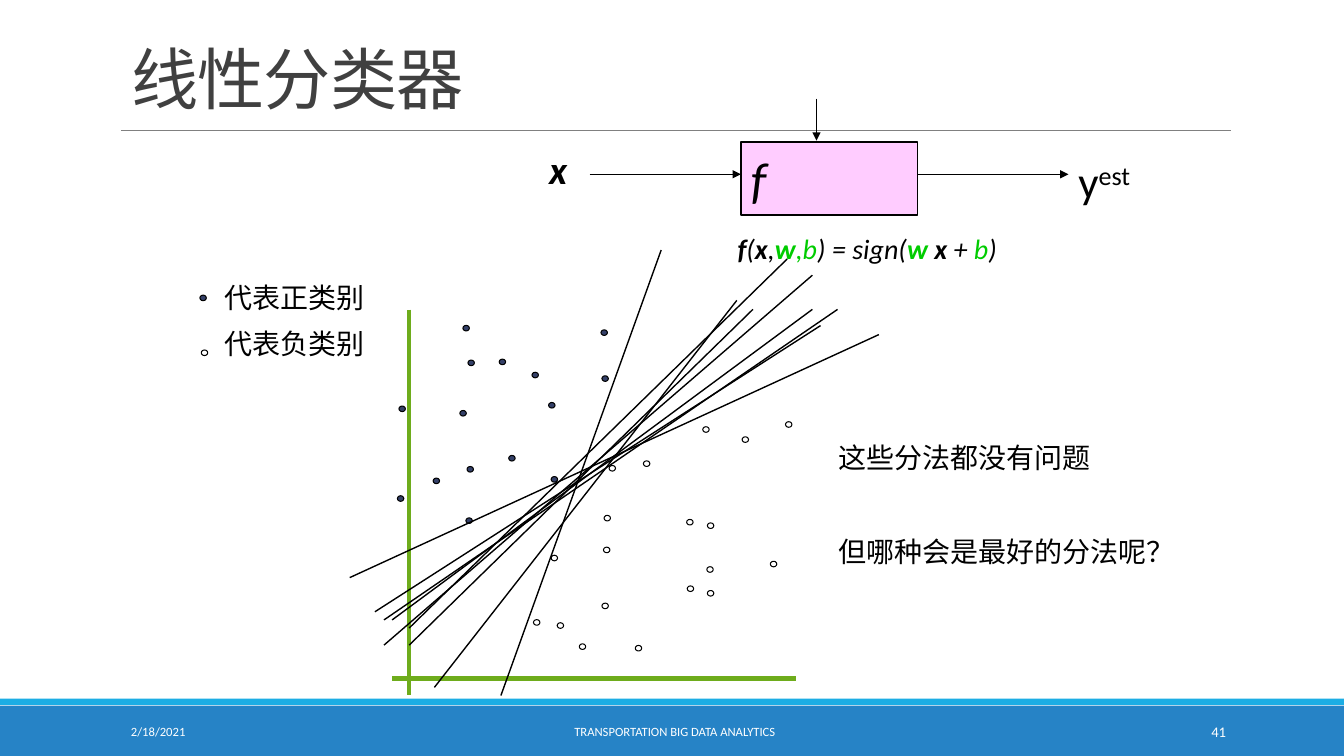
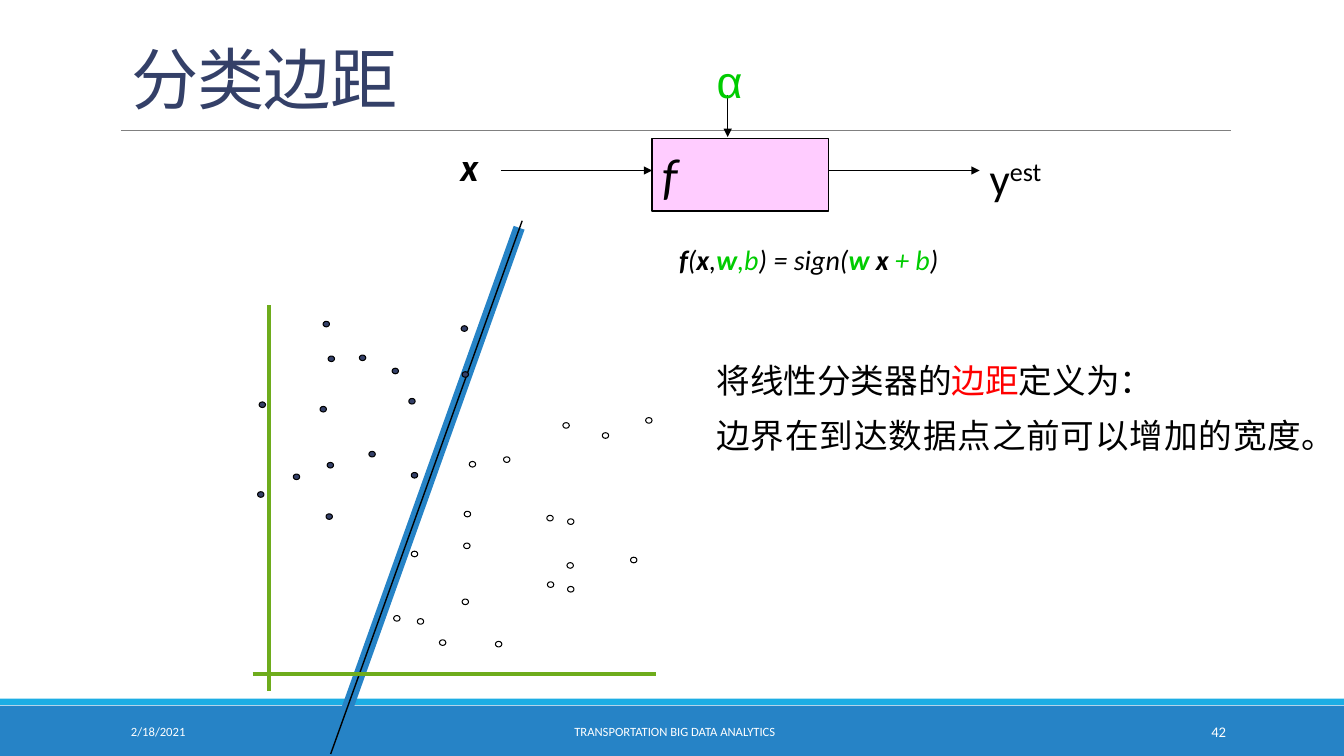
import copy
from dataclasses import dataclass

import pptx
import pptx.util
import pptx.dml.color
import pptx.enum.dml
import pptx.enum.lang
import pptx.enum.shapes
import pptx.enum.text
import pptx.oxml
import pptx.oxml.ns

Pt = pptx.util.Pt
ALIGN = pptx.enum.text.PP_ALIGN
ANCHOR = pptx.enum.text.MSO_ANCHOR
SHAPE = pptx.enum.shapes.MSO_SHAPE


@dataclass(frozen=True)
class Theme:
    font: str = "Calibri"
    symbol_font: str = "Arial"
    # Colours
    black: str = "000000"
    white: str = "FFFFFF"
    title: str = "404040"
    navy: str = "344068"
    blue: str = "2683C6"
    cyan: str = "1CADE4"
    rule: str = "808080"
    axis: str = "6EAC1C"
    pink: str = "FFCCFF"
    green: str = "00CC00"
    red: str = "FF0000"
    # Type sizes
    title_size: float = 48
    function: float = 36
    output: float = 32
    input: float = 28
    statement: float = 24
    text: float = 20
    number: float = 10.5
    footer: float = 9


T = Theme()

# Points as (x, y) above the crossing of the axes
POSITIVE = [
    (-6.1, 128.5), (140, 214.2), (66.6, 226.1), (103.7, 142.2), (38.5, 189.4),
    (44.3, 225.4), (43.6, 149.4), (101.9, 195.1), (42.8, 112.7), (139.3, 247),
    (40.7, 250.2), (73.4, 157.3), (19.4, 141.1), (90, 216.7), (-5, 192.6),
]
NEGATIVE = [
    (91.1, 40), (145.1, 150.1), (200.5, 111.6), (103.7, 86), (271.1, 181.4),
    (214.9, 77.8), (169.6, 153.4), (260.3, 81.7), (123.8, 22.7), (215.3, 109.1),
    (141.5, 114.5), (240.1, 170.6), (212, 177.8), (200.9, 64.1), (163.8, 21.6),
    (140, 51.8), (141.1, 91.8), (108, 37.8), (215.3, 60.8),
]
# Candidate boundaries: start x, y and end x, y
BOUNDARIES = [
    (357.8, 496.8, 472.3, 178.6), (267.8, 437, 586.1, 232.6),
    (292.3, 460.8, 537.8, 221), (249.8, 412.6, 627.8, 239),
    (280.1, 442.8, 580.3, 221), (274.3, 460.8, 580.3, 196.6),
    (292.3, 448.6, 562.3, 185), (310.3, 491, 526.3, 214.6),
    (274.3, 442.8, 598.3, 221),
]
# Footer placeholders: left, width, size, alignment
FOOTERS = {
    10: (86.4, 194.4, T.footer, ALIGN.LEFT),
    11: (292.3, 379.4, T.footer, ALIGN.CENTER),
    12: (780, 103, T.number, ALIGN.RIGHT),
}
# Shared start of the decision function: text, colour, bold
FORMULA = [
    ("f", T.black, True), ("(", T.black, False), ("x", T.black, True),
    (",", T.black, False), ("w", T.green, True), (",b", T.green, False),
    (") = sign(", T.black, False), ("w", T.green, True),
]


def rgb(value):
    return pptx.dml.color.RGBColor.from_string(value)


# Text
def add_run(p, text, size, color=T.black, bold=False, italic=False, font=T.font):
    r = p.add_run()
    r.text = text
    r.font.name, r.font.size = font, Pt(size)
    r.font.bold, r.font.italic = bold, italic
    r.font.color.rgb = rgb(color)
    if max(text) >= "一":
        r.font.language_id = pptx.enum.lang.MSO_LANGUAGE_ID.SIMPLIFIED_CHINESE
    return r


def add_text(s, x, y, w, h):
    tf = s.shapes.add_textbox(Pt(x), Pt(y), Pt(w), Pt(h)).text_frame
    tf.word_wrap = True
    return tf


def add_lines(s, x, y, w, h, lines, size, gap, align=ALIGN.LEFT):
    """Each line is a list of (text, colour) runs."""
    tf = add_text(s, x, y, w, h)
    for i, runs in enumerate(lines):
        p = tf.add_paragraph() if i else tf.paragraphs[0]
        p.alignment = align
        p._p.get_or_add_pPr().set("hangingPunct", "1")
        if i:
            p.space_before = Pt(gap)
        for text, color in runs:
            add_run(p, text, size, color)


# Shapes and lines
def add_shape(s, kind, x, y, w, h, fill, line=None, width=1):
    sp = s.shapes.add_shape(kind, Pt(x), Pt(y), Pt(w), Pt(h))
    sp.shadow.inherit = False
    sp.fill.solid()
    sp.fill.fore_color.rgb = rgb(fill)
    if line:
        sp.line.color.rgb = rgb(line)
        sp.line.width = Pt(width)
    else:
        sp.line.fill.background()
    return sp


def add_line(s, x1, y1, x2, y2, color=T.black, width=1, arrow=False):
    cx = s.shapes.add_connector(
        pptx.enum.shapes.MSO_CONNECTOR.STRAIGHT, Pt(x1), Pt(y1), Pt(x2), Pt(y2))
    cx.line.color.rgb = rgb(color)
    cx.line.width = Pt(width)
    if arrow:
        ln = cx.line._get_or_add_ln()
        ln.append(pptx.oxml.parse_xml(
            '<a:tailEnd %s type="triangle"/>' % pptx.oxml.ns.nsdecls("a")))
    cx._element.spPr.append(pptx.oxml.parse_xml(
        "<a:effectLst %s/>" % pptx.oxml.ns.nsdecls("a")))
    return cx


def add_dot(s, x, y, fill):
    w, h = 4.6, 4
    add_shape(s, SHAPE.OVAL, x - w / 2, y - h / 2, w, h, fill, T.black, 0.75)


# Shared slide parts
def place(sp, x, y, w, h):
    sp.left, sp.top, sp.width, sp.height = Pt(x), Pt(y), Pt(w), Pt(h)


def place_placeholders(layout):
    for sp in layout.placeholders:
        idx = sp.placeholder_format.idx
        if idx in FOOTERS:
            x, w = FOOTERS[idx][:2]
            place(sp, x, 508.3, w, 28.8)
        else:
            place(sp, 86.4, 9.4, 792, 78.5)


def add_bands(layout, s):
    """Draw the bands and title rule, then hand them to the layout."""
    parts = [
        add_shape(s, SHAPE.RECTANGLE, 0, 504, 960, 36, T.blue),
        add_shape(s, SHAPE.RECTANGLE, 0, 499, 960, 4.6, T.cyan),
        add_line(s, 86.4, 92.9, 879, 92.9, T.rule, 0.5),
    ]
    for i, sp in enumerate(parts):
        layout.shapes._spTree.insert(2 + i, sp._element)


def add_slide(prs, layout, title, number, color=T.title):
    s = prs.slides.add_slide(layout)
    tf = s.shapes.title.text_frame
    tf.vertical_anchor = ANCHOR.BOTTOM
    p = tf.paragraphs[0]
    p.alignment, p.line_spacing = ALIGN.LEFT, 0.85
    r = add_run(p, title, T.title_size, color)
    r.font._element.set("spc", "-50")

    texts = {10: "2/18/2021", 11: "TRANSPORTATION BIG DATA ANALYTICS", 12: number}
    for sp in layout.placeholders:
        if sp.placeholder_format.idx in FOOTERS:
            s.shapes._spTree.append(copy.deepcopy(sp._element))
    for sp in s.placeholders:
        idx = sp.placeholder_format.idx
        if idx in FOOTERS:
            size, align = FOOTERS[idx][2:]
            tf = sp.text_frame
            tf.clear()
            tf.vertical_anchor = ANCHOR.MIDDLE
            tf.paragraphs[0].alignment = align
            add_run(tf.paragraphs[0], texts[idx], size, T.white)
    return s


# Diagram parts
def add_block_diagram(s, x, y):
    """Input x, box f and output y, with the box's corner at x, y."""
    w, h, reach = 126, 52, 108
    mid = y + 23
    sp = add_shape(s, SHAPE.RECTANGLE, x, y, w, h, T.pink, T.black)
    tf = sp.text_frame
    tf.vertical_anchor = ANCHOR.MIDDLE
    p = tf.paragraphs[0]
    p.alignment = ALIGN.LEFT
    add_run(p, "f", T.function, italic=True)

    add_line(s, x - reach, mid, x, mid, arrow=True)
    add_line(s, x + 54, y - 31, x + 54, y - 1, arrow=True)
    add_line(s, x + w, mid, x + w + reach, mid, arrow=True)

    tf = add_text(s, x - reach - 36, y - 1, 48, 41)
    add_run(tf.paragraphs[0], "x", T.input, bold=True, italic=True)
    p = add_text(s, x + w + reach, y + 5, 66, 45).paragraphs[0]
    add_run(p, "y", T.output)
    r = add_run(p, "est", T.output)
    r.font._element.set("baseline", "30000")


def add_formula(s, x, y, ending):
    p = add_text(s, x, y, 252, 31).paragraphs[0]
    for text, color, bold in FORMULA + ending:
        add_run(p, text, T.text, color, bold, italic=True)


def add_scatter(s, x, y):
    """Axes crossing at x, y, with both classes of points."""
    add_line(s, x, y - 263.5, x, y + 12, T.axis, 3)
    add_line(s, x - 12, y, x + 276, y, T.axis, 3)
    for points, fill in ((POSITIVE, T.navy), (NEGATIVE, T.white)):
        for dx, dy in points:
            add_dot(s, x + dx, y - dy, fill)


# Slides
def fill_classifier_slide(s):
    add_block_diagram(s, 529.2, 101.5)
    add_lines(s, 153.4, 196.6, 150, 67,
              [[("代表正类别", T.black)], [("代表负类别", T.black)]], T.text, 9)
    add_dot(s, 145.1, 212.8, T.navy)
    add_dot(s, 146.1, 252, T.white)
    add_scatter(s, 292.3, 484.6)
    add_formula(s, 519.8, 162, [
        (" x ", T.black, True), ("+ ", T.black, False),
        ("b", T.green, False), (")", T.black, False)])
    for ends in BOUNDARIES:
        add_line(s, *ends)
    add_lines(s, 591.8, 311, 317, 104,
              [[("这些分法都没有问题", T.black)],
               [("但哪种会是最好的分法呢？", T.black)]], T.text, 43)


def fill_margin_slide(s):
    add_lines(s, 504.7, 253.4, 432.7, 80,
              [[("将线性分类器的", T.black), ("边距", T.red), ("定义为：", T.black)],
               [("边界在到达数据点之前可以增加的宽度。", T.black)]],
              T.statement, 11, ALIGN.JUSTIFY)
    # Margin band and its boundary
    add_line(s, 238.3, 533.5, 370.8, 162.7, T.blue, 8.25)
    add_line(s, 236.2, 538.6, 373, 157.7)
    add_block_diagram(s, 465.8, 98.8)
    add_scatter(s, 192.4, 481.7)
    add_formula(s, 478, 170, [
        (" x", T.black, True), (" + b", T.green, False), (")", T.black, False)])
    p = add_text(s, 504.7, 34.6, 30.2, 45.4).paragraphs[0]
    add_run(p, "α", T.output, T.green, font=T.symbol_font)


def main():
    prs = pptx.Presentation()
    prs.slide_width, prs.slide_height = Pt(960), Pt(540)
    layout = prs.slide_layouts[5]
    place_placeholders(layout)
    s = add_slide(prs, layout, "线性分类器", "41")
    add_bands(layout, s)
    fill_classifier_slide(s)
    s = add_slide(prs, layout, "分类边距", "42", T.navy)
    fill_margin_slide(s)
    prs.save("out.pptx")


if __name__ == "__main__":
    main()
